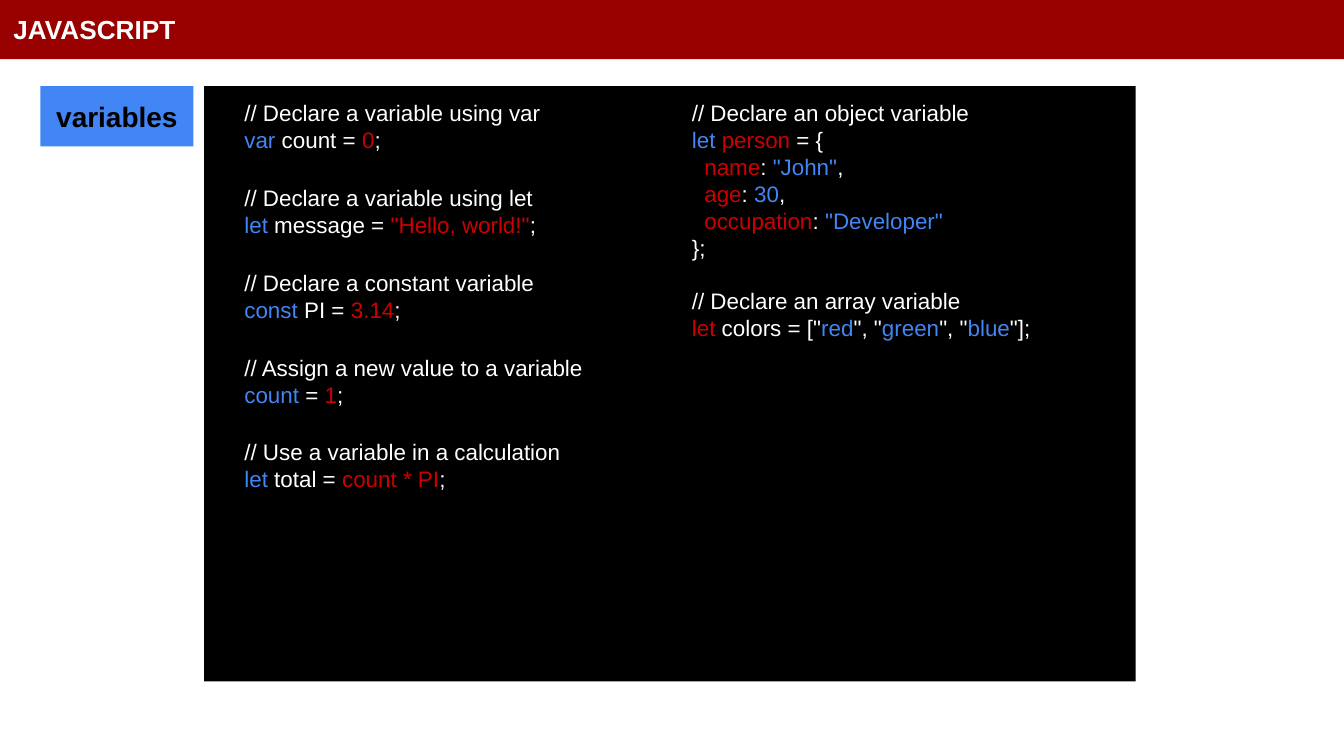
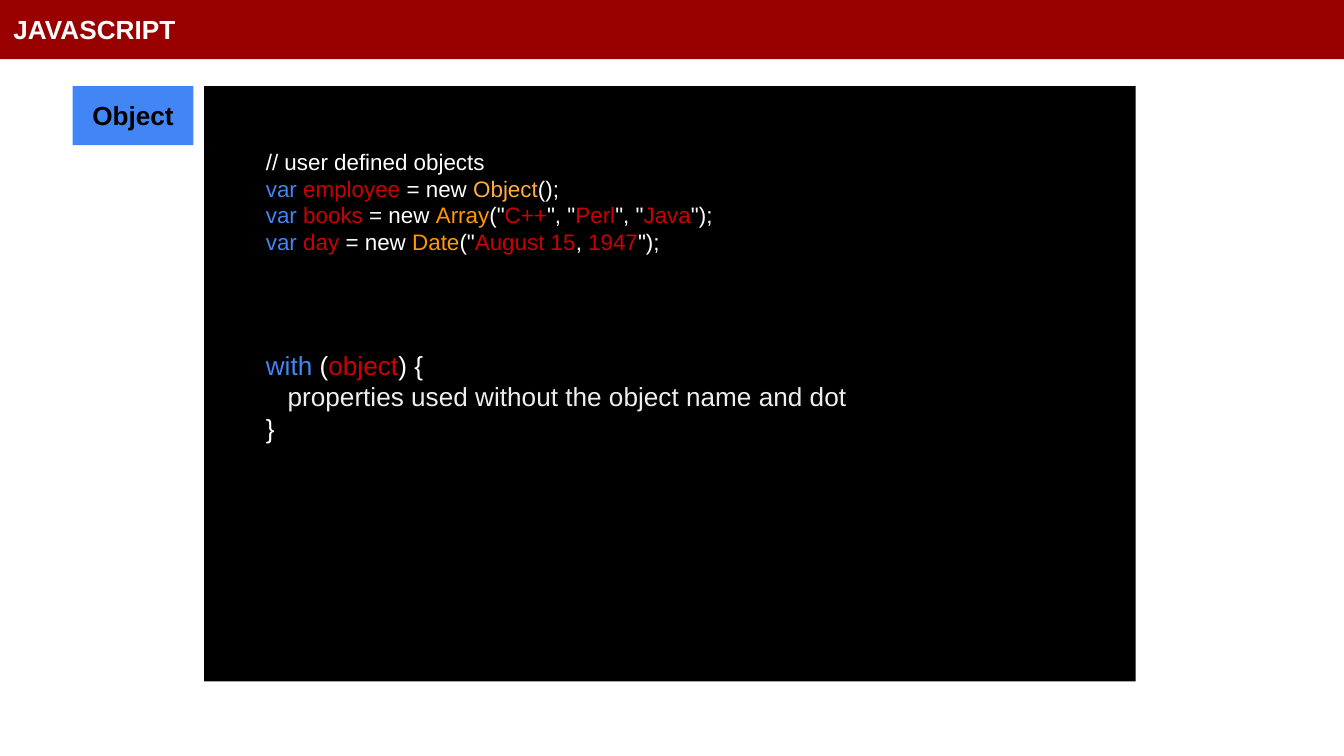
from dataclasses import dataclass
from typing import NamedTuple

from pptx import Presentation
from pptx.dml.color import RGBColor
from pptx.enum.shapes import MSO_SHAPE
from pptx.enum.text import MSO_ANCHOR, MSO_AUTO_SIZE, PP_ALIGN
from pptx.util import Inches, Pt

RECTANGLE = MSO_SHAPE.RECTANGLE
TOP = MSO_ANCHOR.TOP
NO_AUTOFIT = MSO_AUTO_SIZE.NONE
LEFT, CENTER = PP_ALIGN.LEFT, PP_ALIGN.CENTER
TITLE_ONLY = 5

FONT = "Arial"
WHITE, BLACK, PALE = "FFFFFF", "000000", "EEEEEE"
BAND_RED, RED, BLUE = "990000", "CC0000", "4285F4"
ORANGE, LIGHT_ORANGE = "FF9900", "FFAB40"
INSET = Inches(0.1)


class Area(NamedTuple):
    """A rectangle in percent of the slide's width and height."""
    left: float
    top: float
    width: float
    height: float


class Token(NamedTuple):
    """A piece of code in one colour."""
    text: str
    color: str = WHITE


@dataclass
class Line:
    """One line of code; indent and gap above are in points."""
    tokens: list[Token]
    indent: float = 0
    gap: float = 0


@dataclass
class CodeBlock:
    """Lines of code in a text box."""
    area: Area
    lines: list[Line]
    size: int = 12


@dataclass
class Topic:
    """A slide: its label and its code blocks."""
    label: str
    label_area: Area
    label_size: int
    blocks: list[CodeBlock]


BAND = Area(0, 0, 100, 7.82)
PANEL = Area(15.2, 11.38, 69.3, 78.76)


def blue(text: str) -> Token:
    """Return a blue token."""
    return Token(text, BLUE)


def red(text: str) -> Token:
    """Return a red token."""
    return Token(text, RED)


def plain(text: str) -> Token:
    """Return a white token."""
    return Token(text)


def declaration(comment: str, start: str, middle: str, value: str, gap: float = 16.6) -> list[Line]:
    """Return a comment line and the statement below it."""
    return [Line([plain(comment)], gap=gap),
            Line([blue(start), plain(middle), red(value), plain(";")])]


def member(name: str, value: str, end: str = ",") -> Line:
    """Return one indented property of an object."""
    tokens = [red(name), plain(": "), blue(value)]
    return Line(tokens + ([plain(end)] if end else []), indent=6.67)


def quoted(before: str, words: list[Token], after: str, separator: str = '", "') -> list[Token]:
    """Return coloured words with white separators and ends."""
    tokens = [plain(before)]
    for index, word in enumerate(words):
        tokens += [plain(separator), word] if index else [word]
    return tokens + [plain(after)]


def creation(name: str, kind: Token, arguments: list[Token]) -> Line:
    """Return a statement that creates an object with new."""
    return Line([blue("var "), red(name + " "), plain("= new "), kind] + arguments)


VARIABLES = Topic("variables", Area(3, 11.38, 11.4, 8), 15, [
    CodeBlock(Area(17.2, 11.38, 31.9, 60.44), [
        *declaration("// Declare a variable using var", "var", " count = ", "0", gap=0),
        *declaration("// Declare a variable using let", "let", " message = ", '"Hello, world!"'),
        *declaration("// Declare a constant variable", "const", " PI = ", "3.14"),
        *declaration("// Assign a new value to a variable", "count", " = ", "1"),
        *declaration("// Use a variable in a calculation", "let", " total = ", "count * PI"),
    ]),
    CodeBlock(Area(50.5, 11.38, 34, 40.18), [
        Line([plain("// Declare an object variable")]),
        Line([blue("let "), red("person"), plain(" = {")]),
        member("name", '"John"'),
        member("age", "30"),
        member("occupation", '"Developer"', end=""),
        Line([plain("};")]),
        Line([plain("// Declare an array variable")], gap=14.2),
        Line([red("let")] + quoted(' colors = ["', [blue("red"), blue("green"), blue("blue")], '"];')),
    ]),
])

OBJECTS = Topic("Object", Area(5.4, 11.38, 9, 7.82), 14, [
    CodeBlock(Area(18.8, 17.78, 40.8, 22.22), [
        Line([plain("// user defined objects")]),
        creation("employee", Token("Object", LIGHT_ORANGE), [plain("();")]),
        creation("books", Token("Array", ORANGE),
                 quoted('("', [red("C++"), red("Perl"), red("Java")], '");')),
        creation("day", Token("Date", ORANGE),
                 quoted('("', [red("August 15"), red("1947")], '");', separator=", ")),
    ]),
    CodeBlock(Area(18.8, 44.44, 46.7, 16.18), [
        Line([blue("with "), plain("("), red("object"), plain(") {")]),
        Line([Token("properties used without the object name and dot", PALE)], indent=11.67),
        Line([plain("}")]),
    ], size=14),
])

presentation = Presentation()
presentation.slide_width = Inches(10)
presentation.slide_height = Inches(5.625)


def place(area: Area) -> tuple[int, int, int, int]:
    """Turn percentages into lengths on the slide."""
    width, height = presentation.slide_width, presentation.slide_height
    return (round(area.left * width / 100), round(area.top * height / 100),
            round(area.width * width / 100), round(area.height * height / 100))


def rgb(color: str) -> RGBColor:
    """Turn a hex string into a colour."""
    return RGBColor.from_string(color)


def paint(shape, color: str) -> None:
    """Fill a shape and remove its line."""
    shape.fill.solid()
    shape.fill.fore_color.rgb = rgb(color)
    shape.line.fill.background()


def prepare_frame(shape):
    """Set insets, wrapping and anchor, and return the text frame."""
    frame = shape.text_frame
    frame.margin_left = frame.margin_right = INSET
    frame.margin_top = frame.margin_bottom = INSET
    frame.word_wrap = True
    frame.auto_size = NO_AUTOFIT
    frame.vertical_anchor = TOP
    return frame


def write_heading(shape, text: str, size: int, color: str, alignment) -> None:
    """Write one bold line into a shape."""
    paragraph = prepare_frame(shape).paragraphs[0]
    paragraph.text = text
    paragraph.alignment = alignment
    font = paragraph.font
    font.name, font.size, font.bold = FONT, Pt(size), True
    font.color.rgb = rgb(color)


def add_rectangle(slide, area: Area, color: str):
    """Add a flat rectangle."""
    shape = slide.shapes.add_shape(RECTANGLE, *place(area))
    shape.shadow.inherit = False
    paint(shape, color)
    return shape


def add_title(slide) -> None:
    """Turn the title placeholder into the red band."""
    title = slide.shapes.title
    title.left, title.top, title.width, title.height = place(BAND)
    paint(title, BAND_RED)
    write_heading(title, "JAVASCRIPT", 14, WHITE, LEFT)


def add_code(slide, block: CodeBlock) -> None:
    """Add a text box with coloured code."""
    frame = prepare_frame(slide.shapes.add_textbox(*place(block.area)))
    for index, line in enumerate(block.lines):
        paragraph = frame.add_paragraph() if index else frame.paragraphs[0]
        paragraph.font.name, paragraph.font.size = FONT, Pt(block.size)
        paragraph.space_before = Pt(line.gap)
        if line.indent:
            paragraph._p.get_or_add_pPr().set("marL", str(int(Pt(line.indent))))
        for token in line.tokens:
            run = paragraph.add_run()
            run.text = token.text
            run.font.color.rgb = rgb(token.color)


def add_topic(topic: Topic) -> None:
    """Add a slide with band, label, panel and code."""
    slide = presentation.slides.add_slide(presentation.slide_layouts[TITLE_ONLY])
    add_title(slide)
    add_rectangle(slide, PANEL, BLACK)
    label = add_rectangle(slide, topic.label_area, BLUE)
    write_heading(label, topic.label, topic.label_size, BLACK, CENTER)
    for block in topic.blocks:
        add_code(slide, block)


for topic in (VARIABLES, OBJECTS):
    add_topic(topic)
presentation.save("out.pptx")
